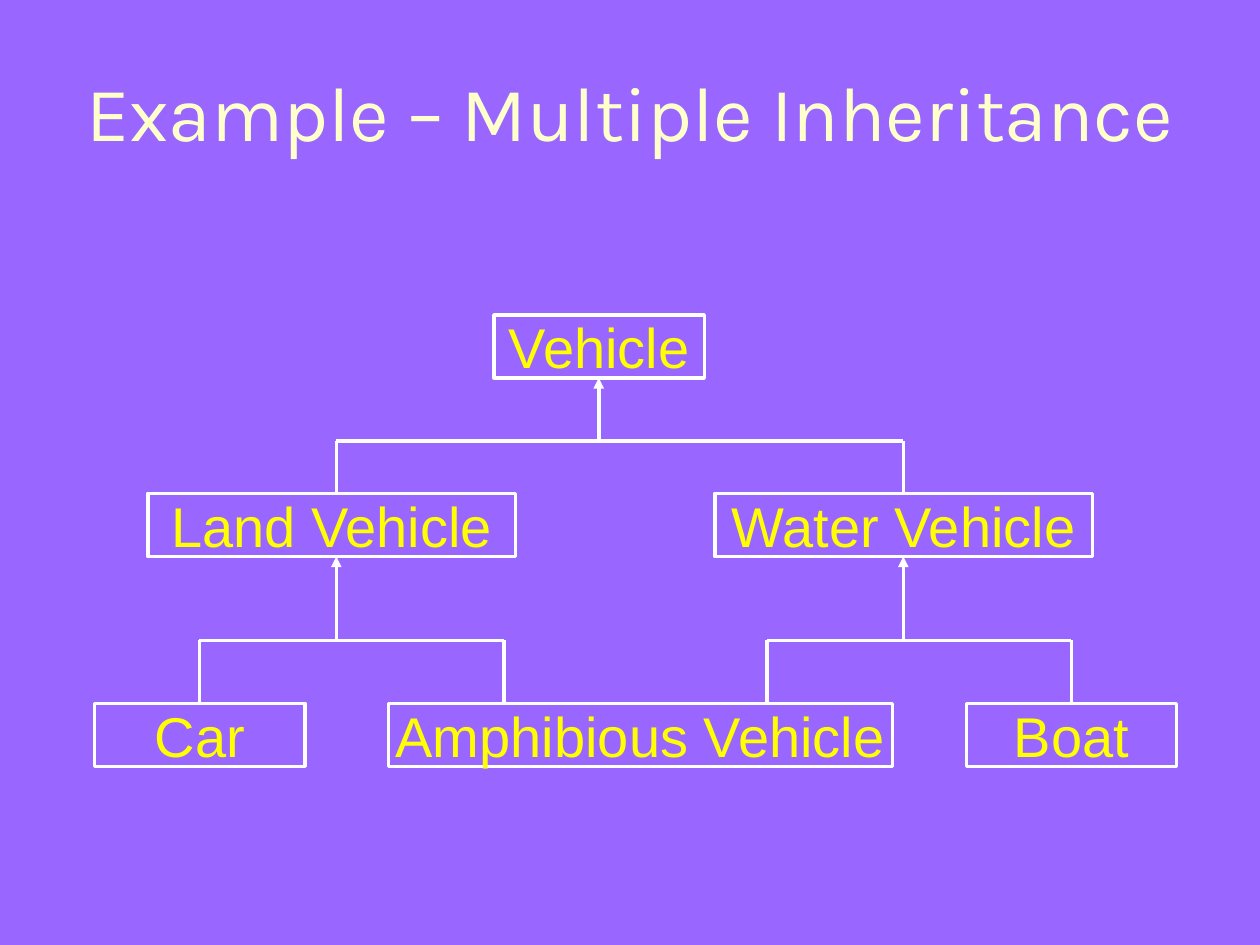
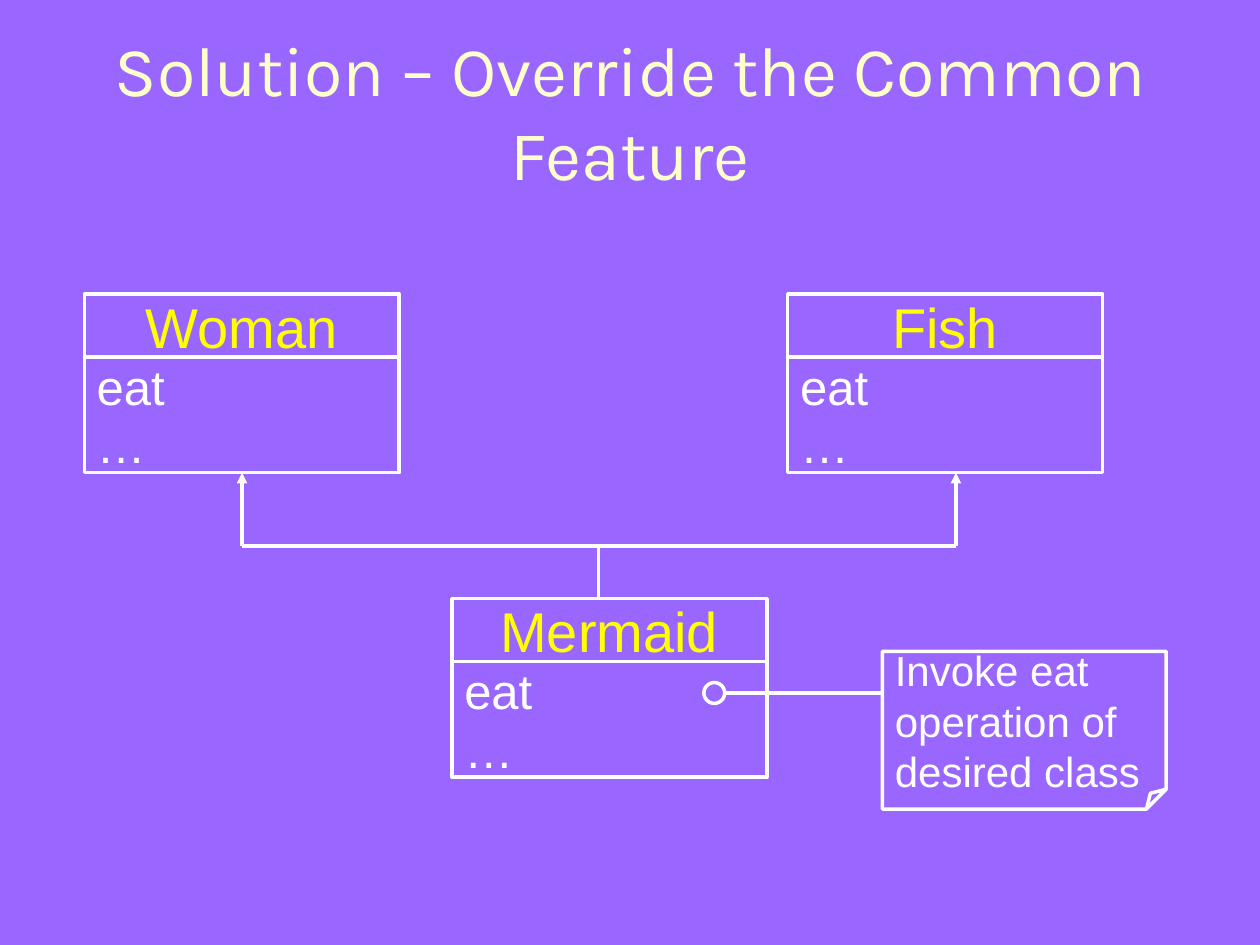
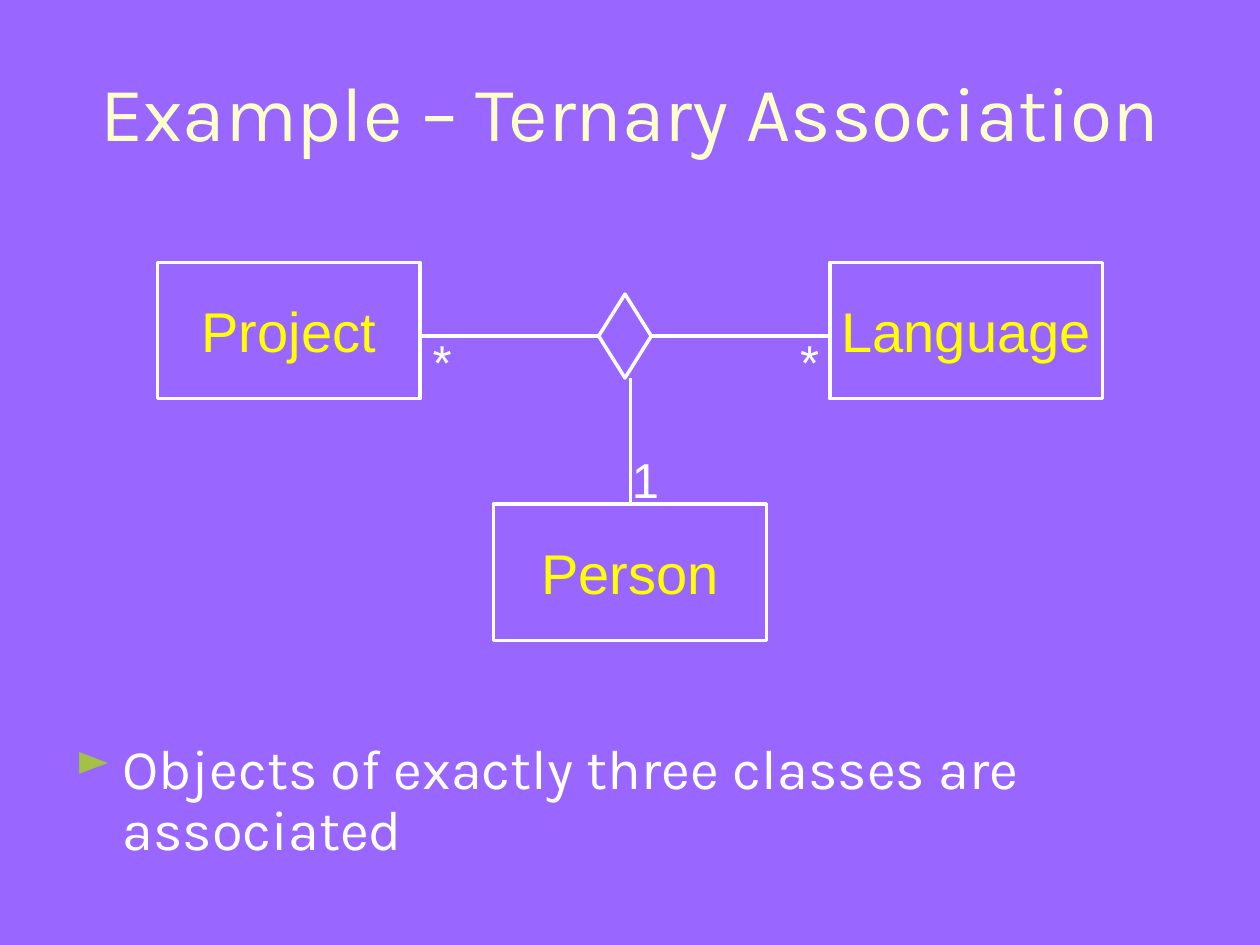
from typing import NamedTuple

from lxml import etree
from pptx import Presentation
from pptx import util as u
from pptx.dml import color
from pptx.enum import shapes, text
from pptx.oxml import ns

COLORS = {
    "background": "9966FF",
    "title": "FFFFCC",
    "name": "FFFF00",
    "white": "FFFFFF",
    "bullet": "A3C145",
}
HEADING_FONT, DIAGRAM_FONT = "Karla", "Arial"
NAME_HEIGHT, FEATURES_HEIGHT = 1.27, 2.33
LEFT, CENTER = text.PP_ALIGN.LEFT, text.PP_ALIGN.CENTER


class Box(NamedTuple):
    """A rectangle in centimetres."""
    left: float
    top: float
    width: float
    height: float

    def inside(self, left, top, width, height):
        """Return a box measured from this box's corner."""
        return Box(self.left + left, self.top + top, width, height)

    def lengths(self):
        """Return the four sides as lengths."""
        return [u.Cm(value) for value in self]


TITLE_BOX = Box(0.85, 0.64, 23.72, 3.18)


def rgb(name):
    """Look up a palette colour."""
    return color.RGBColor.from_string(COLORS[name])


def add_child(parent, tag, **attributes):
    """Append a DrawingML element."""
    return etree.SubElement(parent, ns.qn(tag), **attributes)


def write(shape, lines, size, ink, font=DIAGRAM_FONT, align=LEFT,
          anchor=text.MSO_ANCHOR.MIDDLE, wrap=True):
    """Put formatted lines into a shape."""
    frame = shape.text_frame
    frame.text = lines
    frame.word_wrap = wrap
    frame.vertical_anchor = anchor
    for paragraph in frame.paragraphs:
        paragraph.alignment = align
        for run in paragraph.runs:
            run.font.name = font
            run.font.size = u.Pt(size)
            run.font.color.rgb = rgb(ink)


def add_outline(slide, kind, box):
    """Draw an unfilled shape with a white outline."""
    shape = slide.shapes.add_shape(kind, *box.lengths())
    shape.shadow.inherit = False
    shape.fill.background()
    shape.line.color.rgb = rgb("white")
    shape.line.width = u.Pt(2)
    return shape


def add_textbox(slide, box, lines, size, ink, **style):
    """Add a text box with formatted lines."""
    shape = slide.shapes.add_textbox(*box.lengths())
    write(shape, lines, size, ink, **style)
    return shape


def add_line(slide, area, start, end, arrow=False):
    """Join two points of an area, optionally with an arrowhead."""
    points = [u.Cm(origin + offset) for point in (start, end)
              for origin, offset in zip(area[:2], point)]
    line = slide.shapes.add_connector(shapes.MSO_CONNECTOR.STRAIGHT, *points)
    line.line.color.rgb = rgb("white")
    line.line.width = u.Pt(2)
    properties = line._element.spPr
    if arrow:
        add_child(properties.get_or_add_ln(), "a:tailEnd", type="triangle")
    add_child(properties, "a:effectLst")


def add_fork(slide, area, stem, bar_y, branch_xs, branch_y, stem_arrow):
    """Draw a bar with one stem and several branches, arrows on one side."""
    add_line(slide, area, (branch_xs[0], bar_y), (branch_xs[-1], bar_y))
    add_line(slide, area, (stem[0], bar_y), stem, stem_arrow)
    for x in branch_xs:
        add_line(slide, area, (x, bar_y), (x, branch_y), not stem_arrow)


def add_name(slide, box, name):
    """Draw a rectangle with a class name."""
    shape = add_outline(slide, shapes.MSO_SHAPE.RECTANGLE, box)
    write(shape, name, 32, "name", align=CENTER, wrap=False)


def add_class(slide, box, name):
    """Draw a class with its name above its features."""
    add_name(slide, box.inside(0, 0, box.width, NAME_HEIGHT), name)
    features = add_outline(slide, shapes.MSO_SHAPE.RECTANGLE,
                           box.inside(0, NAME_HEIGHT, box.width, FEATURES_HEIGHT))
    write(features, "eat\n…", 28, "white", wrap=False)


def add_note(slide, box, line):
    """Draw a note with a small folded corner."""
    note = add_outline(slide, shapes.MSO_SHAPE.FOLDED_CORNER, box)
    guides = note._element.spPr.prstGeom.get_or_add_avLst()
    add_child(guides, "a:gd", name="adj", fmla="val 12500")
    write(note, line, 24, "white")


def add_titled_slide(presentation, title, size=44):
    """Add a slide with the shared background and title."""
    slide = presentation.slides.add_slide(presentation.slide_layouts[6])
    slide.background.fill.solid()
    slide.background.fill.fore_color.rgb = rgb("background")
    add_textbox(slide, TITLE_BOX, title, size, "title",
                font=HEADING_FONT, align=CENTER)
    return slide


def draw_vehicle_tree(slide, area):
    """Draw the vehicle hierarchy."""
    middle_y, bottom_y = 3.6, 7.83
    land_x, water_x = 4.87, 16.3
    for name, left, top, width in (
        ("Vehicle", 8.05, 0, 4.24),
        ("Land Vehicle", 1.07, middle_y, 7.41),
        ("Water Vehicle", 12.5, middle_y, 7.62),
        ("Car", 0, bottom_y, 4.24),
        ("Amphibious Vehicle", 5.92, bottom_y, 10.16),
        ("Boat", 17.57, bottom_y, 4.24),
    ):
        add_name(slide, area.inside(left, top, width, NAME_HEIGHT), name)
    add_fork(slide, area, (10.16, NAME_HEIGHT), 2.54,
             (land_x, water_x), middle_y, True)
    for stem_x, branch_xs in ((land_x, (2.11, 8.25)), (water_x, (13.55, 19.69))):
        add_fork(slide, area, (stem_x, middle_y + NAME_HEIGHT), 6.56,
                 branch_xs, bottom_y, True)


def draw_mermaid_classes(slide, area):
    """Draw the mermaid, her two parents and the note."""
    class_height = NAME_HEIGHT + FEATURES_HEIGHT
    mermaid_y, link_y = 6.14, 8.04
    for name, left, top in (("Woman", 0, 0), ("Fish", 14.18, 0),
                            ("Mermaid", 7.41, mermaid_y)):
        add_class(slide, area.inside(left, top, 6.35, class_height), name)
    add_fork(slide, area, (10.37, mermaid_y), 5.08,
             (3.18, 17.57), class_height, False)
    add_note(slide, area.inside(16.09, 7.2, 5.72, 3.18),
             "Invoke eat operation of desired class")
    add_outline(slide, shapes.MSO_SHAPE.OVAL,
                area.inside(12.49, link_y - 0.21, 0.42, 0.42))
    add_line(slide, area, (12.91, link_y), (16.09, link_y))


def draw_ternary_association(slide, area):
    """Draw three classes joined by a diamond."""
    for name, left, top, width in (("Project", 0, 0, 5.29),
                                   ("Language", 13.55, 0, 5.5),
                                   ("Person", 6.77, 4.87, 5.5)):
        add_name(slide, area.inside(left, top, width, 2.75), name)
    for start, end in (((5.29, 1.48), (8.89, 1.48)),
                       ((9.95, 1.48), (13.55, 1.48)),
                       ((9.53, 2.33), (9.53, 4.87))):
        add_line(slide, area, start, end)
    add_outline(slide, shapes.MSO_SHAPE.DIAMOND, area.inside(8.89, 0.64, 1.06, 1.69))
    for count, left, top in (("*", 5.29, 1.27), ("*", 12.7, 1.27), ("1", 9.31, 3.65)):
        add_textbox(slide, area.inside(left, top, 1.06, 1.45), count, 28, "white",
                    anchor=text.MSO_ANCHOR.TOP)


def add_bullet_text(slide, box, line):
    """Add a bulleted statement."""
    shape = add_textbox(slide, box, line, 32, "white", font=HEADING_FONT,
                        anchor=text.MSO_ANCHOR.TOP)
    paragraph = shape.text_frame.paragraphs[0]
    paragraph.line_spacing = 0.9
    properties = paragraph._p.get_or_add_pPr()
    indent = u.Cm(0.95)
    properties.set("marL", str(indent))
    properties.set("indent", str(-indent))
    bullet_color = add_child(properties, "a:buClr")
    add_child(bullet_color, "a:srgbClr", val=COLORS["bullet"])
    add_child(properties, "a:buSzPct", val="80000")
    add_child(properties, "a:buChar", char="►")


def main():
    """Build and save the presentation."""
    presentation = Presentation()
    presentation.slide_width, presentation.slide_height = u.Cm(25.4), u.Cm(19.05)
    slide = add_titled_slide(presentation, "Example – Multiple Inheritance")
    draw_vehicle_tree(slide, Box(1.91, 6.35, 21.81, 9.1))
    slide = add_titled_slide(presentation, "Solution – Override the Common Feature", 40)
    draw_mermaid_classes(slide, Box(1.7, 5.93, 21.81, 10.38))
    slide = add_titled_slide(presentation, "Example – Ternary Association")
    draw_ternary_association(slide, Box(3.18, 5.29, 19.05, 7.62))
    add_bullet_text(slide, Box(1.27, 14.82, 22.86, 2.75),
                    "Objects of exactly three classes are associated")
    presentation.save("out.pptx")


if __name__ == "__main__":
    main()
